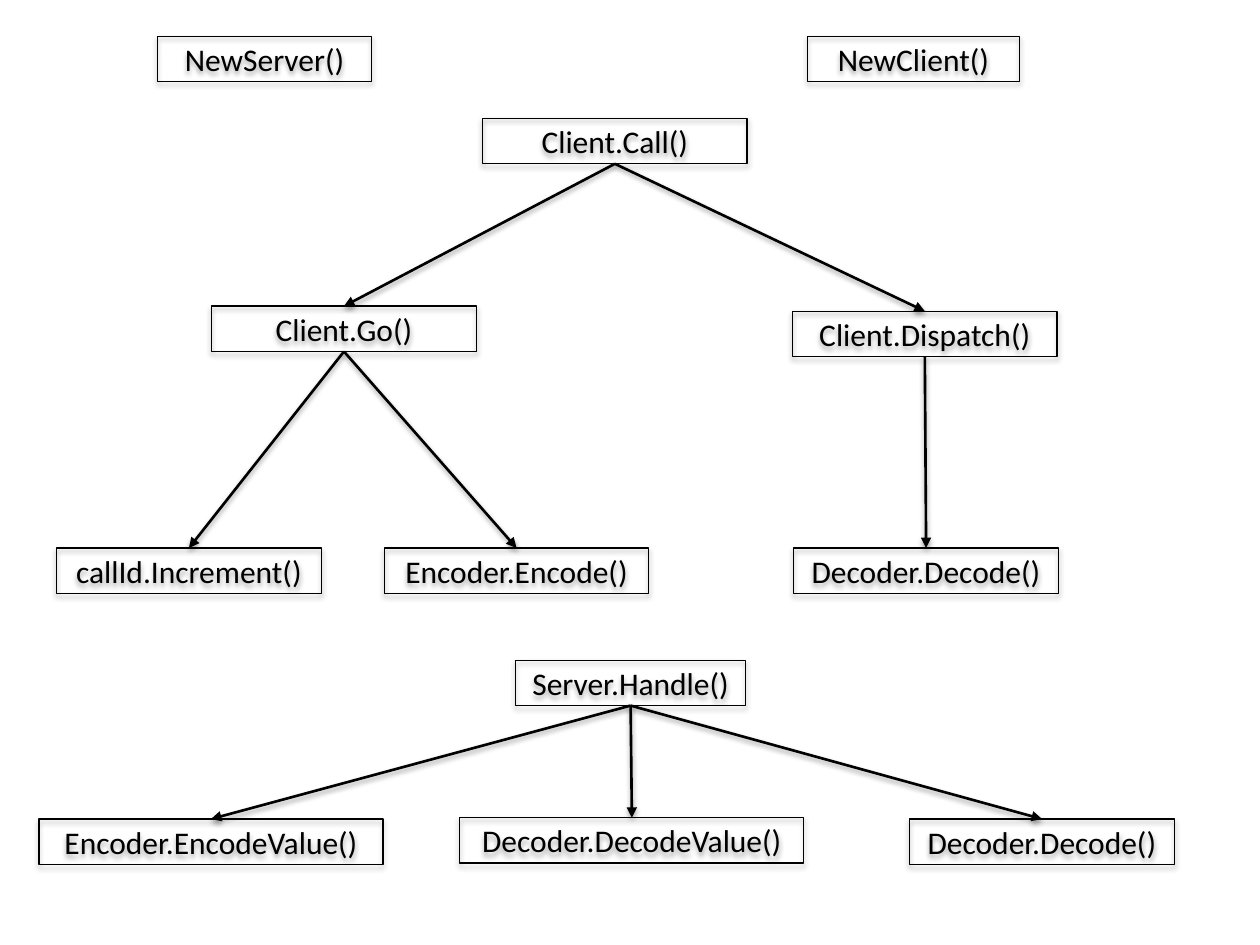
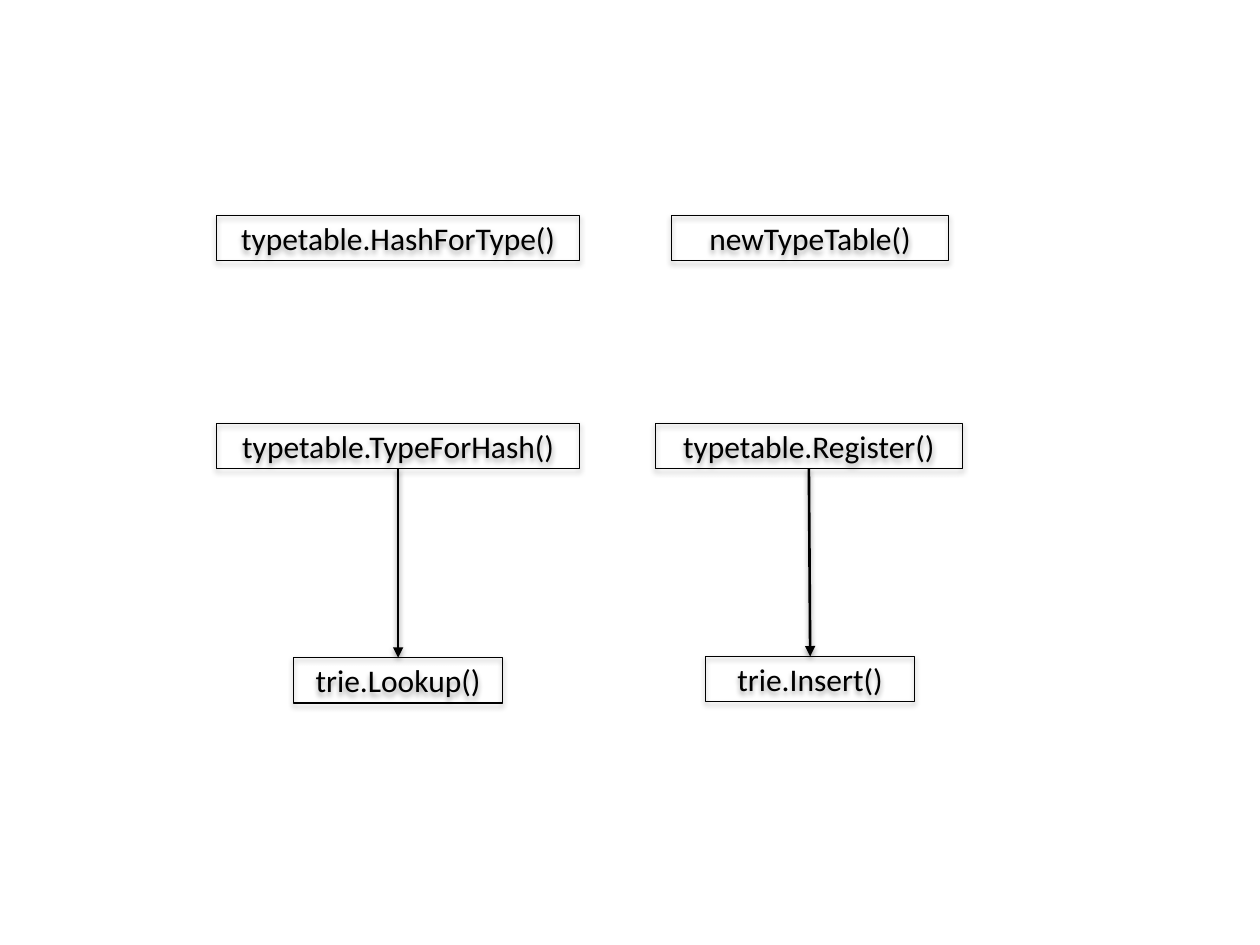
from lxml import etree
from pptx import Presentation
from pptx.dml.color import RGBColor
from pptx.enum.shapes import MSO_CONNECTOR, MSO_SHAPE
from pptx.enum.text import MSO_ANCHOR, PP_ALIGN
from pptx.oxml.ns import qn
from pptx.util import Inches, Pt

RECT = MSO_SHAPE.RECTANGLE
STRAIGHT = MSO_CONNECTOR.STRAIGHT
MIDDLE = MSO_ANCHOR.MIDDLE
CENTER = PP_ALIGN.CENTER
BLACK = RGBColor(0, 0, 0)
FONT = "Calibri"
BOX_HEIGHT = 0.36
BOX_WIDTH = 2.1
TOP_SITE, BOTTOM_SITE = 0, 2


def add_shadow(s, distance, opacity):
    """Give a shape or connector a soft shadow that falls straight down."""
    sp = s._element.spPr
    for old in sp.findall(qn("a:effectLst")):
        sp.remove(old)
    effects = etree.SubElement(sp, qn("a:effectLst"))
    shadow = etree.SubElement(
        effects, qn("a:outerShdw"), blurRad=str(Pt(3.1)),
        dist=str(Pt(distance)), dir="5400000", rotWithShape="0")
    color = etree.SubElement(shadow, qn("a:srgbClr"), val=str(BLACK))
    etree.SubElement(color, qn("a:alpha"), val=str(opacity * 1000))


def add_box(slide, text, left, top, width=BOX_WIDTH):
    """Add an outlined box that holds one function name."""
    s = slide.shapes.add_shape(
        RECT, Inches(left), Inches(top), Inches(width), Inches(BOX_HEIGHT))
    s.fill.background()
    s.line.color.rgb = BLACK
    s.line.width = Pt(0.75)
    add_shadow(s, 1.8, 35)
    tf = s.text_frame
    tf.word_wrap = True
    tf.vertical_anchor = MIDDLE
    p = tf.paragraphs[0]
    p.alignment = CENTER
    r = p.add_run()
    r.text = text
    r.font.name = FONT
    r.font.size = Pt(18)
    r.font.color.rgb = BLACK
    return s


def add_arrow(slide, caller, callee):
    """Join the bottom of the caller to the top of the callee."""
    c = slide.shapes.add_connector(STRAIGHT, 0, 0, 0, 0)
    c.begin_connect(caller, BOTTOM_SITE)
    c.end_connect(callee, TOP_SITE)
    c.line.color.rgb = BLACK
    c.line.width = Pt(1.5)
    etree.SubElement(c.line._get_or_add_ln(), qn("a:tailEnd"), type="triangle")
    add_shadow(c, 1.6, 38)


def add_call_tree(slide, left, top, node):
    """Draw a function and all it calls, offset from the region's corner."""
    text, x, y, width, callees = node
    caller = add_box(slide, text, left + x, top + y, width)
    for callee in callees:
        add_arrow(slide, caller, add_call_tree(slide, left, top, callee))
    return caller


CLIENT_CALL = ("Client.Call()", 3.38, 0, BOX_WIDTH, [
    ("Client.Go()", 1.23, 1.49, BOX_WIDTH, [
        ("callId.Increment()", 0, 3.41, BOX_WIDTH, []),
        ("Encoder.Encode()", 2.6, 3.41, BOX_WIDTH, [])]),
    ("Client.Dispatch()", 5.84, 1.53, BOX_WIDTH, [
        ("Decoder.Decode()", 5.85, 3.41, BOX_WIDTH, [])])])
SERVER_HANDLE = ("Server.Handle()", 3.78, 0, 1.83, [
    ("Encoder.EncodeValue()", 0, 1.26, 2.73, []),
    ("Decoder.DecodeValue()", 3.34, 1.25, 2.73, []),
    ("Decoder.Decode()", 6.91, 1.26, BOX_WIDTH, [])])
TYPE_FOR_HASH = ("typetable.TypeForHash()", 0, 0, 2.88, [
    ("trie.Lookup()", 0.61, 1.86, 1.66, [])])
REGISTER = ("typetable.Register()", 0, 0, 2.44, [
    ("trie.Insert()", 0.4, 1.85, 1.66, [])])


def build_rpc_slide(prs):
    """Show the constructors and the client and server call trees."""
    slide = prs.slides.add_slide(prs.slide_layouts[6])
    add_box(slide, "NewServer()", 1.25, 0.29, 1.7)
    add_box(slide, "NewClient()", 6.41, 0.29, 1.68)
    add_call_tree(slide, 0.45, 0.94, CLIENT_CALL)
    add_call_tree(slide, 0.31, 5.24, SERVER_HANDLE)


def build_typetable_slide(prs):
    """Show the type table functions and the trie calls they make."""
    slide = prs.slides.add_slide(prs.slide_layouts[6])
    add_box(slide, "typetable.HashForType()", 1.72, 1.71, 2.88)
    add_box(slide, "newTypeTable()", 5.33, 1.71, 2.2)
    add_call_tree(slide, 1.72, 3.36, TYPE_FOR_HASH)
    add_call_tree(slide, 5.2, 3.36, REGISTER)


def main():
    """Build both slides and save the deck."""
    prs = Presentation()
    prs.slide_width = Inches(10)
    prs.slide_height = Inches(7.5)
    build_rpc_slide(prs)
    build_typetable_slide(prs)
    prs.save("out.pptx")


main()
